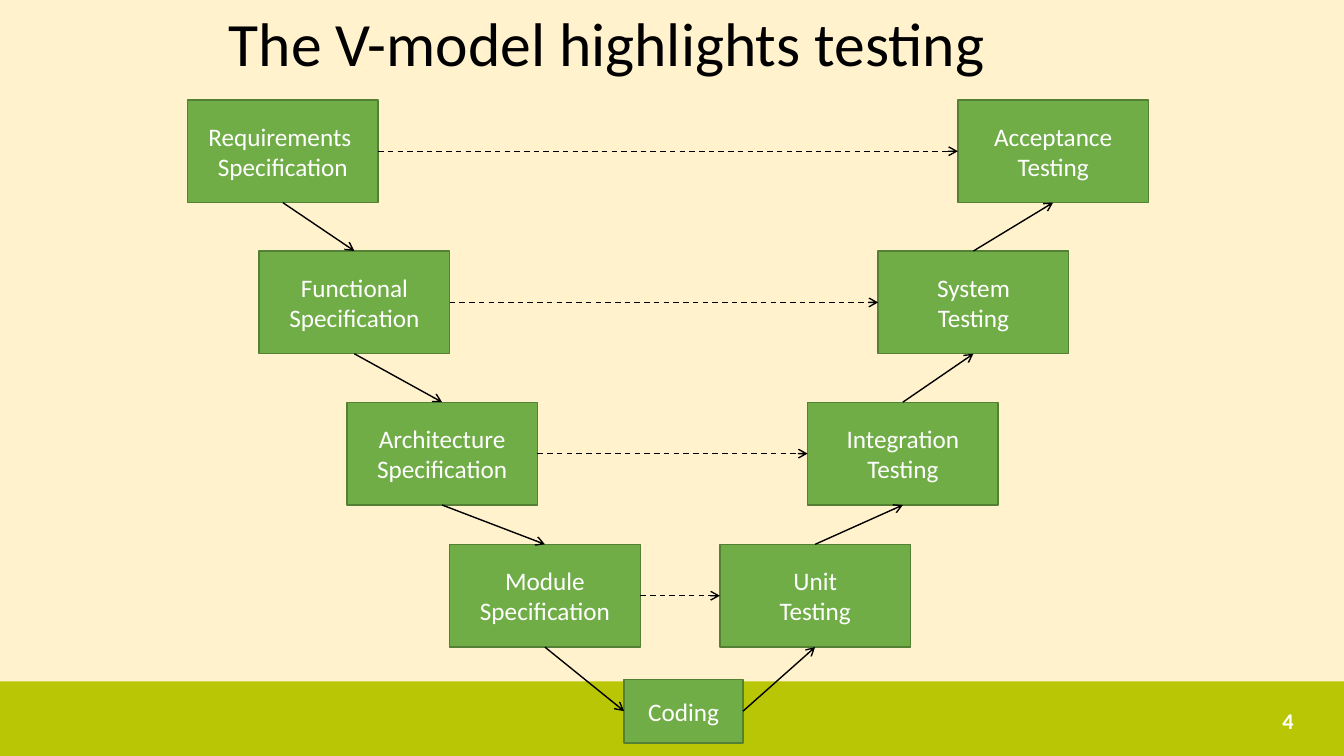
from lxml import etree
from pptx import Presentation
from pptx.dml.color import RGBColor
from pptx.enum.dml import MSO_LINE
from pptx.enum.shapes import MSO_CONNECTOR, MSO_SHAPE
from pptx.enum.text import MSO_ANCHOR, MSO_AUTO_SIZE, PP_ALIGN
from pptx.oxml.ns import qn
from pptx.util import Inches, Pt

RECT = MSO_SHAPE.RECTANGLE
LINE = MSO_CONNECTOR.STRAIGHT
DASH = MSO_LINE.DASH
MIDDLE = MSO_ANCHOR.MIDDLE
FIXED = MSO_AUTO_SIZE.NONE
LEFT, CENTER, RIGHT = PP_ALIGN.LEFT, PP_ALIGN.CENTER, PP_ALIGN.RIGHT
TOP, WEST, BOTTOM, EAST = range(4)

COLORS = {"back": "FFF2CC", "band": "B8C605", "box": "70AD47",
          "edge": "538035", "ink": "000000", "white": "FFFFFF"}
FRAME = {"word_wrap": True, "auto_size": FIXED, "vertical_anchor": MIDDLE}
TITLE = {"name": "Calibri", "size": Pt(44), "bold": False}
LABEL = {"name": "Calibri", "size": Pt(18), "bold": False}
NUMBER = {"name": "Calibri", "size": Pt(16), "bold": True}

WIDE, HIGH = 1.89, 1.02
STAGES = [
    (0.99, 1.86, "Requirements \nSpecification", 9.5, "Acceptance Testing"),
    (2.49, 2.57, "Functional\nSpecification", 8.71, "System\nTesting"),
    (3.99, 3.44, "Architecture\nSpecification", 8.01, "Integration\nTesting"),
    (5.4, 4.46, "Module\nSpecification", 7.14, "Unit\nTesting"),
]


def tint(name):
    """Return the named colour."""
    return RGBColor.from_string(COLORS[name])


def style(item, values):
    """Set each format value on an object."""
    for key, value in values.items():
        setattr(item, key, value)


def write(shape, text, font, color, align):
    """Fill a shape with formatted text."""
    frame = shape.text_frame
    frame.text = text
    style(frame, FRAME)
    for para in frame.paragraphs:
        para.alignment = align
        style(para.font, font)
        para.font.color.rgb = tint(color)


def block(slide, box, fill, edge=None):
    """Draw a filled rectangle."""
    shape = slide.shapes.add_shape(RECT, *map(Inches, box))
    shape.shadow.inherit = False
    shape.fill.solid()
    shape.fill.fore_color.rgb = tint(fill)
    if edge:
        shape.line.color.rgb = tint(edge)
        shape.line.width = Pt(1)
    else:
        shape.line.fill.background()
    return shape


def step(slide, box, text):
    """Draw one labelled step of the model."""
    shape = block(slide, box, "box", "edge")
    write(shape, text, LABEL, "white", CENTER)
    return shape


def arrow(slide, start, out, end, into, dash=None):
    """Join two steps with an arrow."""
    link = slide.shapes.add_connector(LINE, 0, 0, 0, 0)
    link.begin_connect(start, out)
    link.end_connect(end, into)
    link.line.color.rgb = tint("ink")
    style(link.line, {"width": Pt(1), "dash_style": dash})
    props = link.element.spPr
    etree.SubElement(props.find(qn("a:ln")), qn("a:tailEnd"), type="arrow")
    etree.SubElement(props, qn("a:effectLst"))


def head(slide, box):
    """Place the title."""
    title = slide.shapes.title
    style(title, dict(zip(("left", "top", "width", "height"), map(Inches, box))))
    write(title, "The V-model highlights testing", TITLE, "ink", LEFT)
    title.text_frame.paragraphs[0].line_spacing = 0.9


def foot(slide, box):
    """Draw the bottom band with the slide number."""
    left, top, width, height = box
    block(slide, box, "band")
    num = slide.shapes.add_textbox(
        *map(Inches, (left + width - 3.91, top + 0.19, 3.51, 0.4)))
    write(num, "4", NUMBER, "white", RIGHT)


def model(slide, box):
    """Draw both arms of the V and the arrows between them."""
    left, top, width, height = box
    specs, tests = [], []
    for y, near, spec, far, test in STAGES:
        specs.append(step(slide, (near, y, WIDE, HIGH), spec))
        tests.append(step(slide, (far, y, WIDE, HIGH), test))
    code = step(slide, (left + 4.33, top + height - 0.63, 1.18, 0.63), "Coding")
    for upper, lower in zip(specs, specs[1:]):
        arrow(slide, upper, BOTTOM, lower, TOP)
    arrow(slide, specs[-1], BOTTOM, code, WEST)
    arrow(slide, code, EAST, tests[-1], BOTTOM)
    for upper, lower in zip(tests, tests[1:]):
        arrow(slide, lower, TOP, upper, BOTTOM)
    for spec, test in zip(specs, tests):
        arrow(slide, spec, EAST, test, WEST, DASH)


def main():
    """Build and save the slide."""
    deck = Presentation()
    style(deck, {"slide_width": Inches(13.33), "slide_height": Inches(7.5)})
    slide = deck.slides.add_slide(deck.slide_layouts[5])
    fill = slide.background.fill
    fill.solid()
    fill.fore_color.rgb = tint("back")
    foot(slide, (0, 6.76, 13.33, 0.74))
    head(slide, (2.17, 0, 9, 0.92))
    model(slide, (1.86, 0.99, 9.53, 6.38))
    deck.save("out.pptx")


if __name__ == "__main__":
    main()
